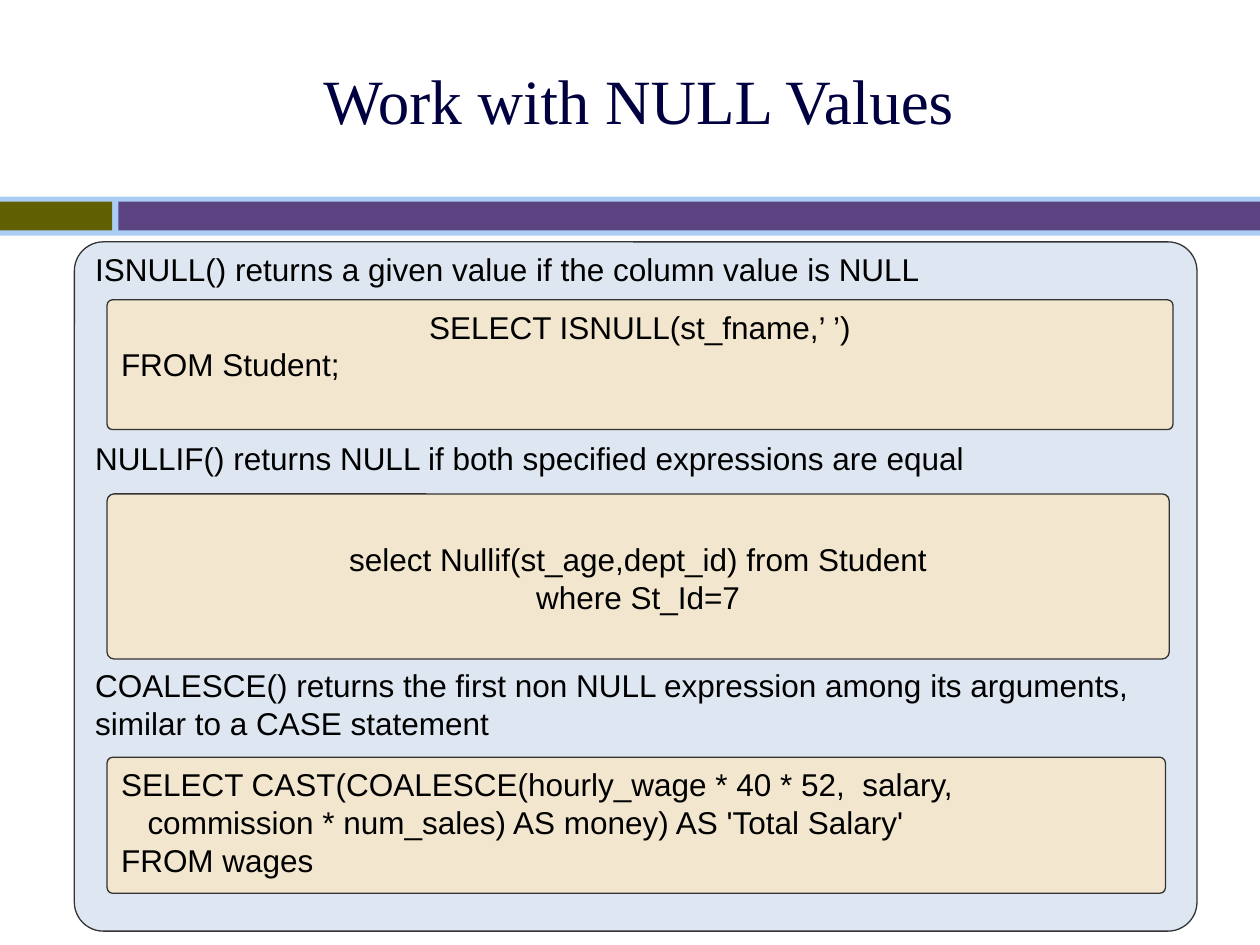
from dataclasses import dataclass

from pptx import Presentation
from pptx.dml.color import RGBColor
from pptx.enum.shapes import MSO_SHAPE as Shape
from pptx.enum.text import MSO_ANCHOR as Anchor, MSO_AUTO_SIZE as AutoSize, PP_ALIGN as Align
from pptx.util import Inches, Pt

COLORS = {
    "title": "000040", "text": "000000", "outline": "333333",
    "band": "ABCDF4", "olive": "606000", "purple": "5C4381",
    "panel": "DEE7F1", "code": "F2E7CE",
}
LINE_PT = 21.6  # height of one line of body text
CORNER = 0.042


@dataclass
class Bar:
    left: float
    top: float
    width: float
    height: float
    color: str


@dataclass
class Line:
    text: str
    align: Align = Align.LEFT
    blank_lines_before: int = 0
    indent: float = 0


@dataclass
class Card:
    left: float
    top: float
    width: float
    height: float
    color: str
    lines: list[Line]
    inset_top: float = 0.05


BARS = [
    Bar(0, 1.56, 10, 0.31, "band"),
    Bar(0, 1.6, 0.89, 0.23, "olive"),
    Bar(0.94, 1.6, 9.06, 0.23, "purple"),
]

CARDS = [
    # Panel with the explanations
    Card(0.59, 1.92, 8.91, 5.47, "panel", [
        Line("ISNULL() returns a given value if the column value is NULL"),
        Line("NULLIF() returns NULL if both specified expressions are equal",
             blank_lines_before=4),
        Line("COALESCE() returns the first non NULL expression among its arguments, "
             "similar to a CASE statement", blank_lines_before=5),
    ], inset_top=0),
    # Code examples
    Card(0.85, 3.92, 8.43, 1.31, "code", [
        Line("select Nullif(st_age,dept_id) from Student", Align.CENTER),
        Line("where St_Id=7", Align.CENTER),
    ], inset_top=0.35),
    Card(0.85, 6.01, 8.4, 1.08, "code", [
        Line("SELECT CAST(COALESCE(hourly_wage * 40 * 52,  salary,"),
        Line("commission * num_sales) AS money) AS 'Total Salary'", indent=0.21),
        Line("FROM wages"),
    ]),
    Card(0.85, 2.38, 8.46, 1.03, "code", [
        Line("SELECT ISNULL(st_fname,’ ’)", Align.CENTER),
        Line("FROM Student;"),
    ]),
]


def rgb(name: str) -> RGBColor:
    return RGBColor.from_string(COLORS[name])


def apply(target, values: dict) -> None:
    for attribute, value in values.items():
        setattr(target, attribute, value)


def add_filled(slide, preset: Shape, part: Bar | Card):
    box = (part.left, part.top, part.width, part.height)
    filled = slide.shapes.add_shape(preset, *map(Inches, box))
    filled.shadow.inherit = False
    filled.fill.solid()
    filled.fill.fore_color.rgb = rgb(part.color)
    return filled


def draw_bar(slide, bar: Bar) -> None:
    add_filled(slide, Shape.RECTANGLE, bar).line.fill.background()


def draw_card(slide, card: Card) -> None:
    outline = add_filled(slide, Shape.ROUNDED_RECTANGLE, card)
    outline.adjustments[0] = CORNER
    outline.line.color.rgb = rgb("outline")
    outline.line.width = Pt(0.75)
    frame = outline.text_frame
    apply(frame, {
        "word_wrap": True, "vertical_anchor": Anchor.TOP,
        "margin_left": Inches(0.1), "margin_right": Inches(0.1),
        "margin_top": Inches(card.inset_top), "margin_bottom": Inches(0.04),
    })
    for number, line in enumerate(card.lines):
        paragraph = frame.add_paragraph() if number else frame.paragraphs[0]
        apply(paragraph, {
            "text": line.text, "alignment": line.align, "line_spacing": Pt(LINE_PT),
            "space_before": Pt(LINE_PT * line.blank_lines_before),
        })
        if line.indent:
            paragraph._p.get_or_add_pPr().set("marL", str(Inches(line.indent)))
        apply(paragraph.font, {"name": "Arial", "size": Pt(18)})
        paragraph.font.color.rgb = rgb("text")


def draw_title(slide, text: str) -> None:
    title = slide.shapes.title
    apply(title, {
        "left": Inches(0.67), "top": Inches(0.25),
        "width": Inches(8.92), "height": Inches(1.08),
    })
    frame = title.text_frame
    apply(frame, {
        "text": text, "word_wrap": True,
        "auto_size": AutoSize.NONE, "vertical_anchor": Anchor.MIDDLE,
    })
    heading = frame.paragraphs[0]
    heading.alignment = Align.CENTER
    apply(heading.font, {"name": "Times New Roman", "size": Pt(36)})
    heading.font.color.rgb = rgb("title")


def main() -> None:
    deck = Presentation()
    apply(deck, {"slide_width": Inches(10), "slide_height": Inches(7.5)})
    slide = deck.slides.add_slide(deck.slide_layouts[5])  # title only
    draw_title(slide, "Work with NULL Values ")
    for bar in BARS:
        draw_bar(slide, bar)
    for card in CARDS:
        draw_card(slide, card)
    deck.save("out.pptx")


if __name__ == "__main__":
    main()
